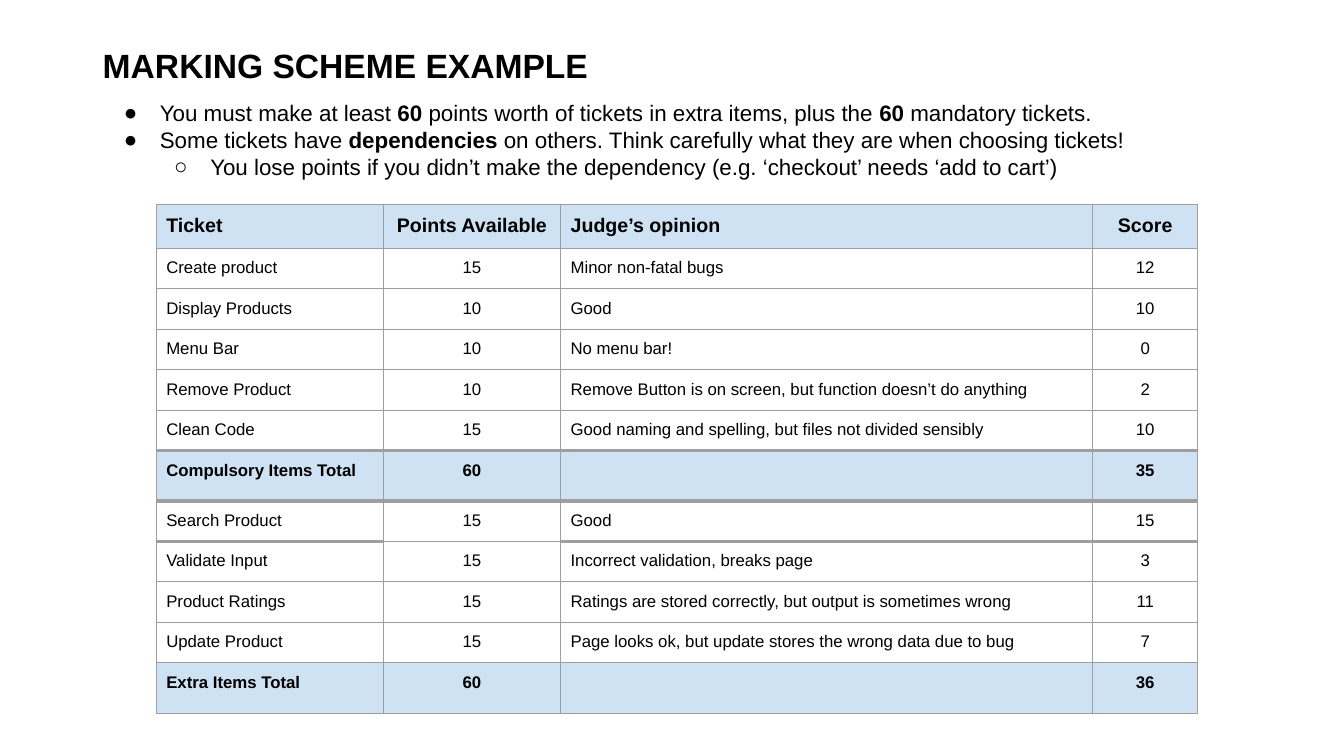
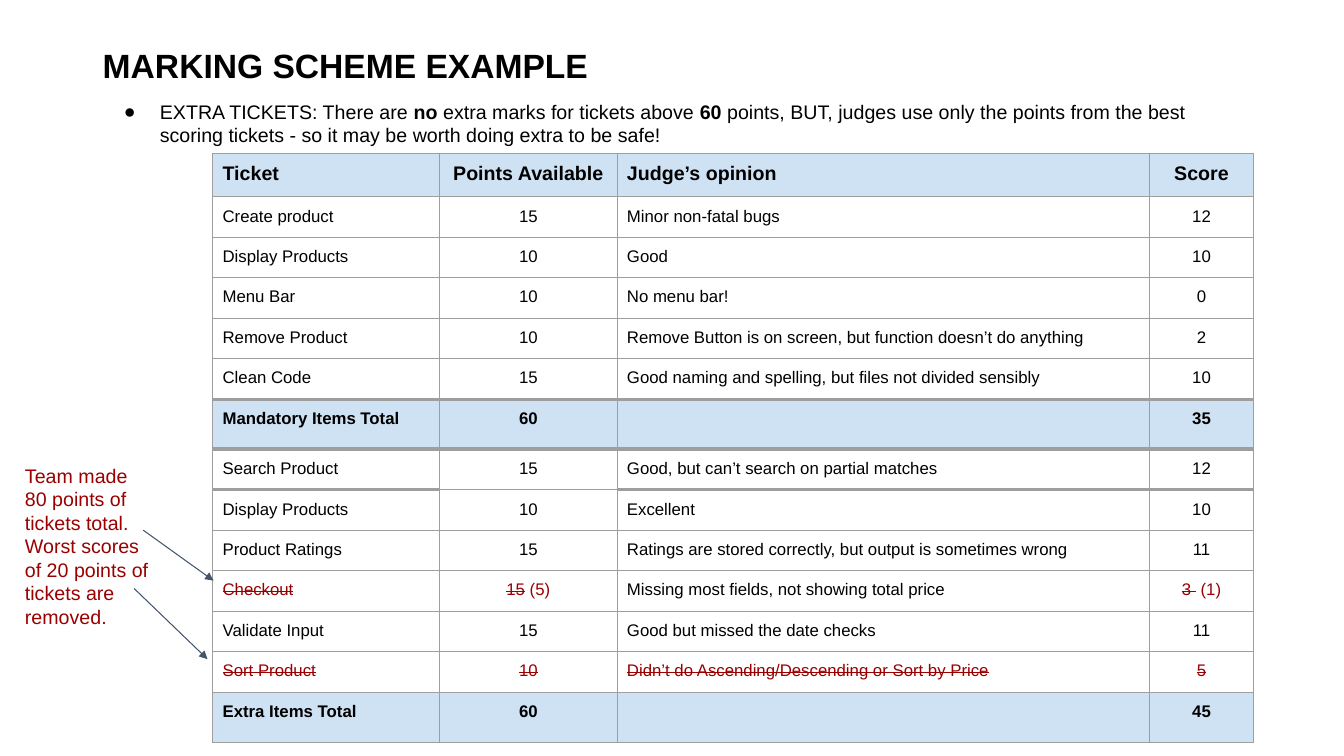
"""Build two slides that explain a ticket marking scheme."""
from lxml.etree import SubElement
from pptx import Presentation
from pptx.dml.color import RGBColor
from pptx.enum.shapes import MSO_CONNECTOR as Connector
from pptx.enum.text import PP_ALIGN as Align
from pptx.oxml.ns import qn
from pptx.util import Cm, Pt

BLACK = RGBColor(0x00, 0x00, 0x00)
DARK_RED = RGBColor(0x99, 0x00, 0x00)
PALE_BLUE = RGBColor(0xCF, 0xE2, 0xF3)
GREY = RGBColor(0x9E, 0x9E, 0x9E)
SLATE = RGBColor(0x44, 0x54, 0x6A)

BOLD = {"bold": True}
RED = {"color": DARK_RED}
STRUCK = {"color": DARK_RED, "strike": True}

MARGINS = {f"margin_{side}": Cm(0.25) for side in ("left", "top", "right", "bottom")}
COLUMN_WIDTHS = (5.72, 4.47, 13.41, 2.64)
CENTRED_COLUMNS = (1, 3)
HEADER_HEIGHT, TICKET_HEIGHT, TOTAL_HEIGHT = 1.10, 1.02, 1.26
THIN, MEDIUM, THICK = 0.75, 2.25, 3

TITLE = "MARKING SCHEME EXAMPLE"
HEADER = ("Ticket", "Points Available", "Judge’s opinion", "Score")
COMPULSORY = [
    ("Create product", "15", "Minor non-fatal bugs", "12"),
    ("Display Products", "10", "Good", "10"),
    ("Menu Bar", "10", "No menu bar!", "0"),
    ("Remove Product", "10", "Remove Button is on screen, but function doesn’t do anything", "2"),
    ("Clean Code", "15", "Good naming and spelling, but files not divided sensibly", "10"),
]
RATINGS = ("Product Ratings", "15", "Ratings are stored correctly, but output is sometimes wrong", "11")
FIRST_EXTRAS = [
    ("Search Product", "15", "Good", "15"),
    ("Validate Input", "15", "Incorrect validation, breaks page", "3"),
    RATINGS,
    ("Update Product", "15", "Page looks ok, but update stores the wrong data due to bug", "7"),
]
SORT_PRODUCT = ("Sort Product", "10", "Didn’t do Ascending/Descending or Sort by Price", "5")
SECOND_EXTRAS = [
    ("Search Product", "15", "Good, but can’t search on partial matches", "12"),
    ("Display Products", "10", "Excellent", "10"),
    RATINGS,
    ([("Checkout", STRUCK)], [("15", STRUCK), (" (5)", RED)],
     "Missing most fields, not showing total price", [("3 ", STRUCK), (" (1)", RED)]),
    ("Validate Input", "15", "Good but missed the date checks", "11"),
    [[(text, STRUCK)] for text in SORT_PRODUCT],
]


def set_values(target, values):
    for name, value in values.items():
        setattr(target, name, value)


class Deck:
    def __init__(self):
        self.presentation = Presentation()
        set_values(self.presentation, {"slide_width": Cm(33.87), "slide_height": Cm(19.05)})
        self.slide = None

    def add_slide(self):
        self.slide = self.presentation.slides.add_slide(self.presentation.slide_layouts[6])
        self.text_box((2.34, 0.89, 15.42, 1.55), [TITLE], 24, **BOLD)

    def add_runs(self, paragraph, content, size, **style):
        runs = [(content, {})] if isinstance(content, str) else content
        for text, changes in runs:
            values = {"name": "Arial", "size": Pt(size), "bold": False, "color": BLACK, **style, **changes}
            color, strike = values.pop("color"), values.pop("strike", False)
            run = paragraph.add_run()
            run.text = text
            set_values(run.font, values)
            run.font.color.rgb = color
            if strike:
                run._r.get_or_add_rPr().set("strike", "sngStrike")

    def text_box(self, place, contents, size, bullets=(), **style):
        frame = self.slide.shapes.add_textbox(*map(Cm, place)).text_frame
        set_values(frame, {"word_wrap": True, **MARGINS})
        for index, content in enumerate(contents):
            paragraph = frame.add_paragraph() if index else frame.paragraphs[0]
            if bullets:
                self.bullet(paragraph, bullets[index])
            self.add_runs(paragraph, content, size, **style)

    def bullet(self, paragraph, level):
        paragraph.level = level
        properties = paragraph._p.get_or_add_pPr()
        properties.set("marL", str(Cm(1.27 * (level + 1))))
        properties.set("indent", str(-Cm(0.91)))
        color = SubElement(properties, qn("a:buClr"))
        SubElement(color, qn("a:srgbClr"), val=str(BLACK))
        SubElement(properties, qn("a:buFont"), typeface="Arial")
        SubElement(properties, qn("a:buChar"), char="●○"[level])

    def borders(self, cell, top, bottom):
        properties = cell._tc.get_or_add_tcPr()
        for side, width in (("L", THIN), ("R", THIN), ("T", top), ("B", bottom)):
            line = SubElement(properties, qn(f"a:ln{side}"), w=str(Pt(width)))
            fill = SubElement(line, qn("a:solidFill"))
            SubElement(fill, qn("a:srgbClr"), val=str(GREY))

    def score_table(self, left, top, rows):
        totals = [index for index, row in enumerate(rows) if not row[2]]
        heights = [TOTAL_HEIGHT if index in totals else TICKET_HEIGHT for index in range(len(rows))]
        heights[0] = HEADER_HEIGHT
        table = self.slide.shapes.add_table(
            len(rows), len(HEADER), Cm(left), Cm(top), Cm(sum(COLUMN_WIDTHS)), Cm(sum(heights))).table
        set_values(table, {"first_row": False, "horz_banding": False})
        for column, width in zip(table.columns, COLUMN_WIDTHS):
            column.width = Cm(width)
        first_total = totals[0]
        for index, row in enumerate(rows):
            table.rows[index].height = Cm(heights[index])
            shaded = index == 0 or index in totals
            for column, content in enumerate(row):
                edges = {first_total: MEDIUM, first_total + 1: THICK}
                if column != 1:
                    edges[first_total + 2] = MEDIUM
                cell = table.cell(index, column)
                set_values(cell, MARGINS)
                self.borders(cell, edges.get(index, THIN), edges.get(index + 1, THIN))
                if shaded:
                    cell.fill.solid()
                    cell.fill.fore_color.rgb = PALE_BLUE
                else:
                    cell.fill.background()
                paragraph = cell.text_frame.paragraphs[0]
                if column in CENTRED_COLUMNS:
                    paragraph.alignment = Align.CENTER
                if content:
                    self.add_runs(paragraph, content, 12 if index else 14, bold=shaded)

    def arrow(self, *ends):
        connector = self.slide.shapes.add_connector(Connector.STRAIGHT, *map(Cm, ends))
        connector.line.color.rgb = SLATE
        connector.line.width = Pt(THIN)
        properties = connector._element.spPr
        SubElement(properties.find(qn("a:ln")), qn("a:tailEnd"), type="triangle")
        SubElement(properties, qn("a:effectLst"))


def main():
    deck = Deck()

    deck.add_slide()
    deck.text_box((2.51, 2.26, 29.11, 3.76), [
        [("You must make at least ", {}), ("60 ", BOLD),
         ("points worth of tickets in extra items, plus the ", {}),
         ("60 ", BOLD), ("mandatory tickets.", {})],
        [("Some tickets have ", {}), ("dependencies", BOLD),
         (" on others. Think carefully what they are when choosing tickets!", {})],
        "You lose points if you didn’t make the dependency (e.g. ‘checkout’ needs ‘add to cart’)",
    ], 16, bullets=(0, 0, 1))
    deck.score_table(3.94, 5.16, [
        HEADER, *COMPULSORY, ("Compulsory Items Total", "60", "", "35"),
        *FIRST_EXTRAS, ("Extra Items Total", "60", "", "36")])

    deck.add_slide()
    deck.text_box((2.51, 2.26, 29.11, 2.9), [
        [("EXTRA TICKETS: There are ", {}), ("no ", BOLD),
         ("extra marks for tickets above ", {}), ("60 ", BOLD),
         ("points, BUT, judges use only the points from the best scoring tickets"
          " - so it may be worth doing extra to be safe!", {})],
    ], 14, bullets=(0,))
    deck.score_table(5.36, 3.86, [
        HEADER, *COMPULSORY, ("Mandatory Items Total", "60", "", "35"),
        *SECOND_EXTRAS, ("Extra Items Total", "60", "", "45")])
    deck.text_box((0.38, 11.43, 3.68, 4.72), [
        "Team made 80 points of tickets total.",
        "Worst scores of 20 points of tickets are removed.",
    ], 14, **RED)
    deck.arrow(3.61, 13.36, 5.38, 14.63)
    deck.arrow(3.38, 14.83, 5.23, 16.61)

    deck.presentation.save("out.pptx")


if __name__ == "__main__":
    main()
